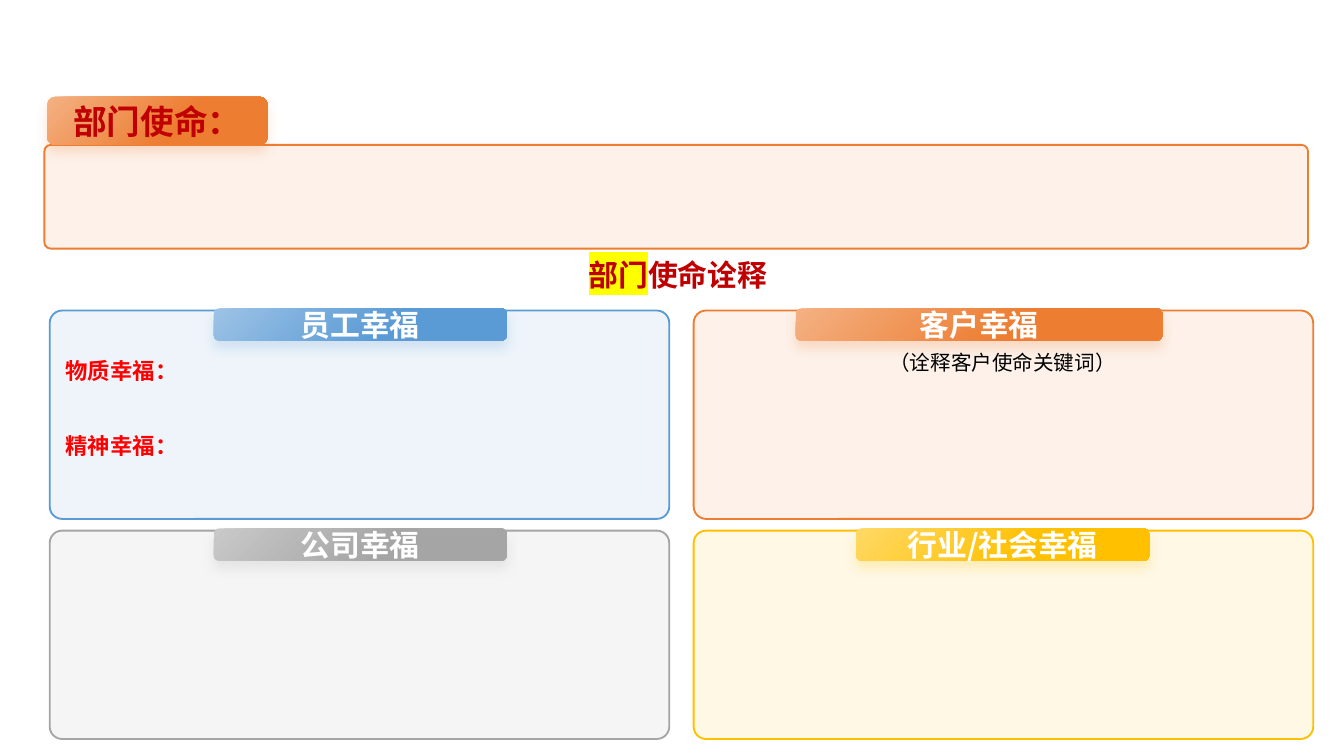
from dataclasses import dataclass

from lxml.etree import SubElement
from pptx import Presentation
from pptx.dml.color import RGBColor
from pptx.enum.shapes import MSO_SHAPE as Preset
from pptx.enum.text import MSO_ANCHOR as Anchor, PP_ALIGN as Align
from pptx.oxml.ns import qn
from pptx.util import Cm, Pt

CJK = "Noto Sans CJK SC"
LATIN = "Calibri"
DARK_RED = "C00000"


@dataclass(frozen=True)
class Palette:
    main: str
    light: str


@dataclass(frozen=True)
class Box:
    left: float
    top: float
    width: float
    height: float

    def lengths(self) -> tuple:
        return Cm(self.left), Cm(self.top), Cm(self.width), Cm(self.height)


@dataclass(frozen=True)
class Happiness:
    title: str
    palette: Palette
    column: int
    row: int
    tab_left: float
    tab_width: float = 5.54


BLUE = Palette("5B9BD5", "9DC3E6")
ORANGE = Palette("ED7D31", "F4B183")
GRAY = Palette("A5A5A5", "C9C9C9")
GOLD = Palette("FFC000", "FFD966")

HAPPINESS = [
    Happiness("员工幸福", BLUE, 0, 0, 4.04),
    Happiness("客户幸福", ORANGE, 1, 0, 15.04, 6.93),
    Happiness("公司幸福", GRAY, 0, 1, 4.04),
    Happiness("行业/社会幸福", GOLD, 1, 1, 16.18),
]


def rgb(code: str) -> RGBColor:
    return RGBColor.from_string(code)


def style(run, size: float, color: str, bold: bool = True, latin: str = CJK) -> None:
    run.font.size = Pt(size)
    run.font.bold = bold
    run.font.color.rgb = rgb(color)
    run.font.name = latin
    east_asian = SubElement(run.font._element, qn("a:ea"))
    east_asian.set("typeface", CJK)


def highlight(run, color: str) -> None:
    properties = run.font._element
    marker = SubElement(properties, qn("a:highlight"))
    SubElement(marker, qn("a:srgbClr")).set("val", color)
    properties.find(qn("a:latin")).addprevious(marker)


def add_rounded(slide, box: Box):
    rounded = slide.shapes.add_shape(Preset.ROUNDED_RECTANGLE, *box.lengths())
    rounded.shadow.inherit = False
    return rounded


def add_panel(slide, box: Box, palette: Palette) -> None:
    panel = add_rounded(slide, box)
    panel.adjustments[0] = 0.06
    panel.fill.solid()
    panel.fill.fore_color.rgb = rgb(palette.main)
    tint = panel._element.spPr.find(qn("a:solidFill"))[0]
    SubElement(tint, qn("a:alpha")).set("val", "10000")
    panel.line.color.rgb = rgb(palette.main)
    panel.line.width = Pt(1)


def add_tab(slide, box: Box, palette: Palette, title: str, size: float,
            color: str = "FFFFFF", latin: str = CJK) -> None:
    tab = add_rounded(slide, box)
    tab.line.fill.background()
    tab.fill.gradient()
    tab.fill.gradient_angle = 315
    for stop, code, position in zip(tab.fill.gradient_stops,
                                    (palette.light, palette.main), (0, 0.6)):
        stop.color.rgb = rgb(code)
        stop.position = position
    effects = tab._element.spPr.find(qn("a:effectLst"))
    shadow = SubElement(effects, qn("a:outerShdw"), blurRad=str(Pt(6)),
                        dist=str(Pt(4)), dir="5400000", algn="t", rotWithShape="0")
    shade = SubElement(shadow, qn("a:srgbClr"), val=palette.main)
    SubElement(shade, qn("a:alpha")).set("val", "20000")
    frame = tab.text_frame
    frame.word_wrap = False
    frame.vertical_anchor = Anchor.MIDDLE
    frame.text = title
    frame.paragraphs[0].alignment = Align.CENTER
    style(frame.paragraphs[0].runs[0], size, color, latin=latin)


def add_text(slide, box: Box, text: str, align: Align = Align.LEFT):
    frame = slide.shapes.add_textbox(*box.lengths()).text_frame
    frame.word_wrap = True
    frame.text = text
    for paragraph in frame.paragraphs:
        paragraph.alignment = align
    return frame


def add_heading(slide) -> None:
    frame = add_text(slide, Box(-0.05, 4.39, 25.73, 1.27), "部门", Align.CENTER)
    heading = frame.paragraphs[0]
    heading.line_spacing = 1.5
    heading.add_run().text = "使命诠释"
    for run in heading.runs:
        style(run, 16, DARK_RED, latin=LATIN)
    highlight(heading.runs[0], "FFFF00")


def add_happiness(slide, item: Happiness) -> None:
    left = 0.94 + item.column * 12.17
    top = 5.87 + item.row * 4.16
    add_panel(slide, Box(left, top, 11.71, 3.94), item.palette)
    add_tab(slide, Box(item.tab_left, top - 0.04, item.tab_width, 0.61),
            item.palette, item.title, 16)


def main() -> None:
    deck = Presentation()
    deck.slide_width, deck.slide_height = Cm(25.4), Cm(14.29)
    slide = deck.slides.add_slide(deck.slide_layouts[6])

    add_heading(slide)
    add_panel(slide, Box(0.84, 2.74, 23.88, 1.96), ORANGE)
    add_tab(slide, Box(0.89, 1.83, 4.17, 0.91), ORANGE, "部门使命：", 18, DARK_RED, LATIN)
    for item in HAPPINESS:
        add_happiness(slide, item)

    employee = add_text(slide, Box(0.99, 6.63, 11.48, 3.18), "物质幸福：\n精神幸福：")
    for paragraph in employee.paragraphs:
        style(paragraph.runs[0], 12, "FF0000")
    employee.paragraphs[1].space_before = Pt(25.5)

    customer = add_text(slide, Box(13.21, 6.5, 11.48, 2.08),
                        "（诠释客户使命关键词）", Align.CENTER)
    style(customer.paragraphs[0].runs[0], 11, "000000", bold=False)

    deck.save("out.pptx")


if __name__ == "__main__":
    main()
